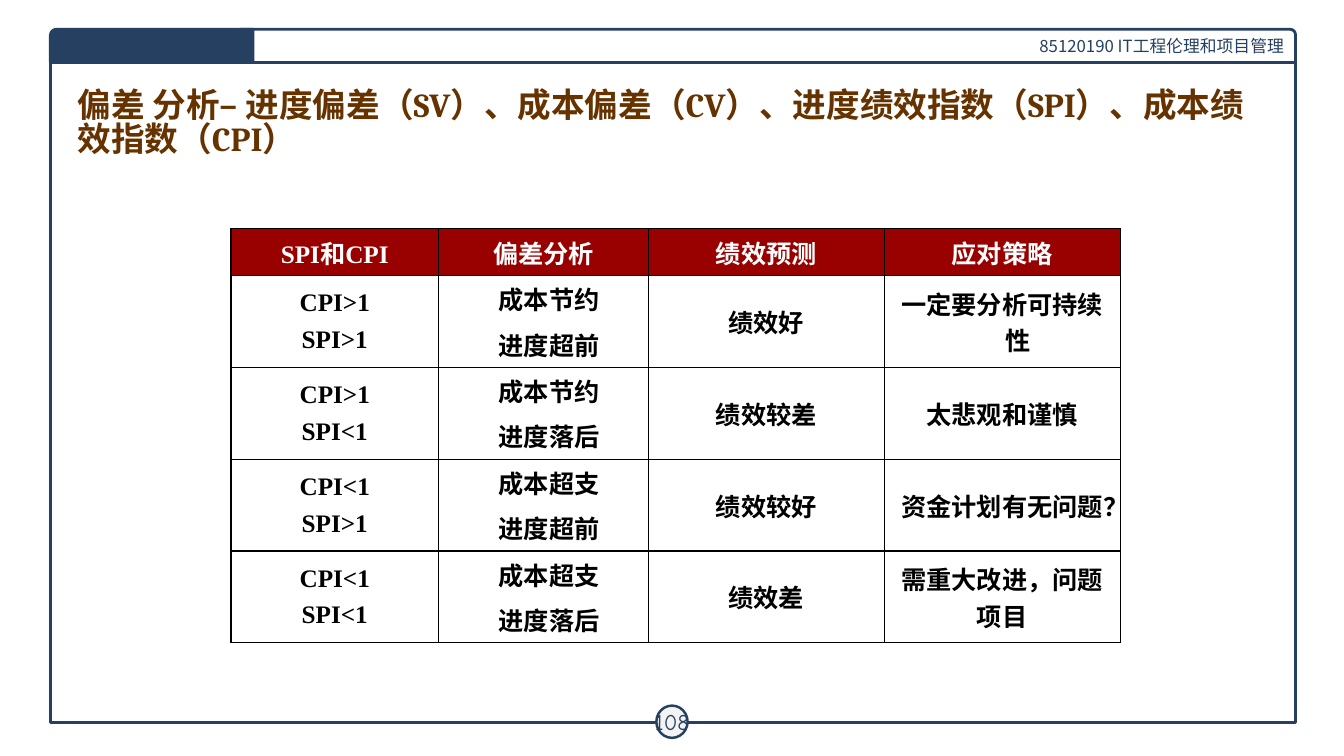
from lxml.etree import SubElement
from pptx import Presentation
from pptx.dml.color import RGBColor
from pptx.enum.shapes import MSO_SHAPE
from pptx.enum.text import MSO_ANCHOR, MSO_AUTO_SIZE, PP_ALIGN
from pptx.oxml.ns import qn
from pptx.util import Pt

PX = 9144
CJK = "Noto Sans CJK SC"
COLORS = {"navy": "254061", "white": "FFFFFF", "badge": "F3F3F3",
          "title": "663300", "head": "990000", "black": "000000"}
TITLE = "偏差 分析– 进度偏差（SV）、成本偏差（CV）、进度绩效指数（SPI）、成本绩效指数（CPI）"
COLUMNS = [206, 208, 234, 234]
ROWS = [
    ["SPI和CPI", "偏差分析", "绩效预测", "应对策略"],
    ["CPI>1\nSPI>1", "成本节约\n进度超前", "绩效好", "一定要分析可持续性"],
    ["CPI>1\nSPI<1", "成本节约\n进度落后", "绩效较差", "太悲观和谨慎"],
    ["CPI<1\nSPI>1", "成本超支\n进度超前", "绩效较好", "资金计划有无问题？"],
    ["CPI<1\nSPI<1", "成本超支\n进度落后", "绩效差", "需重大改进，问题项目"],
]


def rgb(name):
    """Return the named colour."""
    return RGBColor.from_string(COLORS[name])


def write(tf, text, color, align=PP_ALIGN.LEFT, gap=0, indent=None, **fmt):
    """Write one paragraph per line of text, in one format."""
    for i, line in enumerate(text.split("\n")):
        p = tf.add_paragraph() if i else tf.paragraphs[0]
        p.alignment = align
        if i and gap:
            p.space_before = Pt(gap)
        if indent:
            pPr = p._p.get_or_add_pPr()
            for key, px in zip(("marL", "indent"), indent):
                pPr.set(key, str(px * PX))
        r = p.add_run()
        r.text = line
        for key, value in fmt.items():
            setattr(r.font, key, value)
        r.font.color.rgb = rgb(color)
        rPr = r._r.get_or_add_rPr()
        rPr.set("lang", "zh-CN")
        SubElement(rPr, qn("a:ea")).set("typeface", CJK)


def add_box(s, kind, box, fill=None, width=2):
    """Add a navy-outlined preset shape."""
    sp = s.shapes.add_shape(kind, *(v * PX for v in box))
    sp.shadow.inherit = False
    if fill:
        sp.fill.solid()
        sp.fill.fore_color.rgb = rgb(fill)
    else:
        sp.fill.background()
    sp.line.color.rgb = rgb("navy")
    sp.line.width = Pt(width)
    return sp


def add_frame(s, x, y, w, h):
    """Draw the page frame with its header strip and page badge."""
    add_box(s, MSO_SHAPE.RECTANGLE, (x, y + 21, w, h - 21))
    strip = add_box(s, MSO_SHAPE.ROUND_1_RECTANGLE,
                    (x + 188, y, w - 188, 33), "white")
    strip.text_frame.vertical_anchor = MSO_ANCHOR.MIDDLE
    write(strip.text_frame, "85120190 IT工程伦理和项目管理", "navy",
          PP_ALIGN.RIGHT, size=Pt(12), name=CJK)
    badge = add_box(s, MSO_SHAPE.OVAL,
                    (x + w // 2 - 16, y + h - 17, 31, 32), "badge", 1.75)
    tf = badge.text_frame
    for side in ("left", "top", "right", "bottom"):
        setattr(tf, f"margin_{side}", 4 * PX)
    tf.word_wrap = False
    tf.vertical_anchor = MSO_ANCHOR.MIDDLE
    write(tf, "108", "navy", PP_ALIGN.CENTER, size=Pt(16), name="Comic Neue")
    tab = add_box(s, MSO_SHAPE.ROUND_1_RECTANGLE, (x, y, 201, 33), "navy")
    tab.adjustments[0] = 0.18
    tab._element.spPr.get_or_add_xfrm().set("flipH", "1")


def add_title(s, *box):
    """Place and fill the title placeholder."""
    sp = s.shapes.title
    for key, px in zip(("left", "top", "width", "height"), box):
        setattr(sp, key, px * PX)
    tf = sp.text_frame
    tf.word_wrap = True
    tf.auto_size = MSO_AUTO_SIZE.NONE
    tf.vertical_anchor = MSO_ANCHOR.TOP
    write(tf, TITLE, "title", size=Pt(24), name="Cambria", bold=True)
    tf.paragraphs[0].line_spacing = 0.85


def add_borders(cell):
    """Give a cell thin black borders on all sides."""
    tcPr = cell._tc.get_or_add_tcPr()
    for i, side in enumerate(("lnL", "lnR", "lnT", "lnB")):
        ln = tcPr.makeelement(qn(f"a:{side}"), {"w": str(Pt(1))})
        fill = SubElement(ln, qn("a:solidFill"))
        SubElement(fill, qn("a:srgbClr")).set("val", COLORS["black"])
        tcPr.insert(i, ln)


def add_analysis_table(s, x, y, head_h, row_h):
    """Draw the variance analysis table."""
    height = head_h + row_h * (len(ROWS) - 1)
    tbl = s.shapes.add_table(len(ROWS), len(COLUMNS), x * PX, y * PX,
                             sum(COLUMNS) * PX, height * PX).table
    tbl.horz_banding = False
    for col, w in zip(tbl.columns, COLUMNS):
        col.width = w * PX
    for i, row in enumerate(ROWS):
        tbl.rows[i].height = (row_h if i else head_h) * PX
        for j, text in enumerate(row):
            cell = tbl.cell(i, j)
            indent = None
            if i:
                cell.fill.background()
                cell.vertical_anchor = MSO_ANCHOR.MIDDLE
                if j == 1:
                    indent = (32, -21)
                elif i == 1 and j > 1:
                    indent = (32, -32)
            else:
                cell.fill.solid()
                cell.fill.fore_color.rgb = rgb("head")
            add_borders(cell)
            write(cell.text_frame, text, "black" if i else "white",
                  PP_ALIGN.CENTER, 6.3, indent, size=Pt(18),
                  name="Times New Roman", bold=True)


def main():
    """Build and save the slide."""
    prs = Presentation()
    prs.slide_width, prs.slide_height = 1333 * PX, 750 * PX
    s = prs.slides.add_slide(prs.slide_layouts[5])
    add_frame(s, 50, 29, 1235, 688)
    add_title(s, 67, 84, 1200, 92)
    add_analysis_table(s, 229, 227, 44, 85)
    prs.save("out.pptx")


if __name__ == "__main__":
    main()
